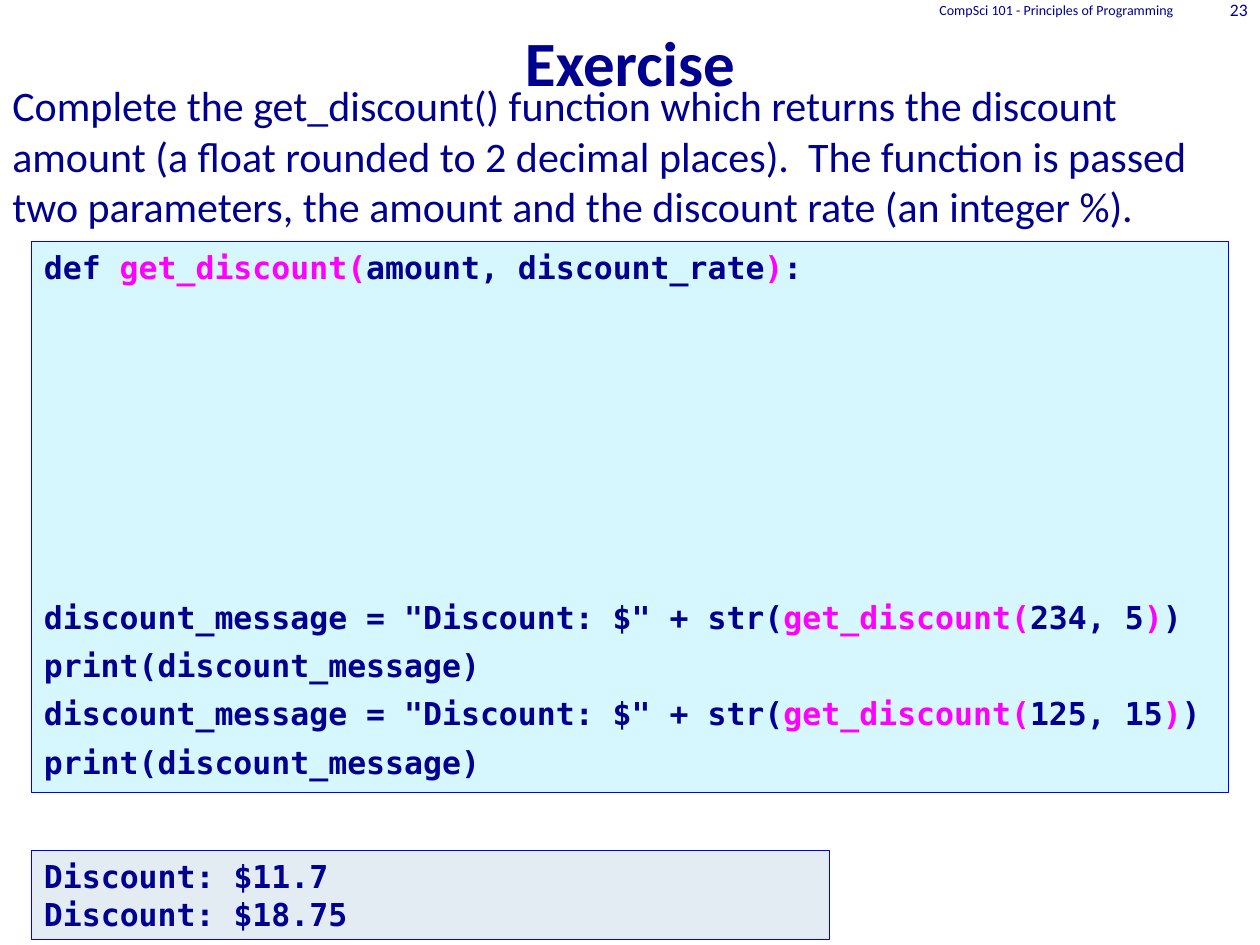
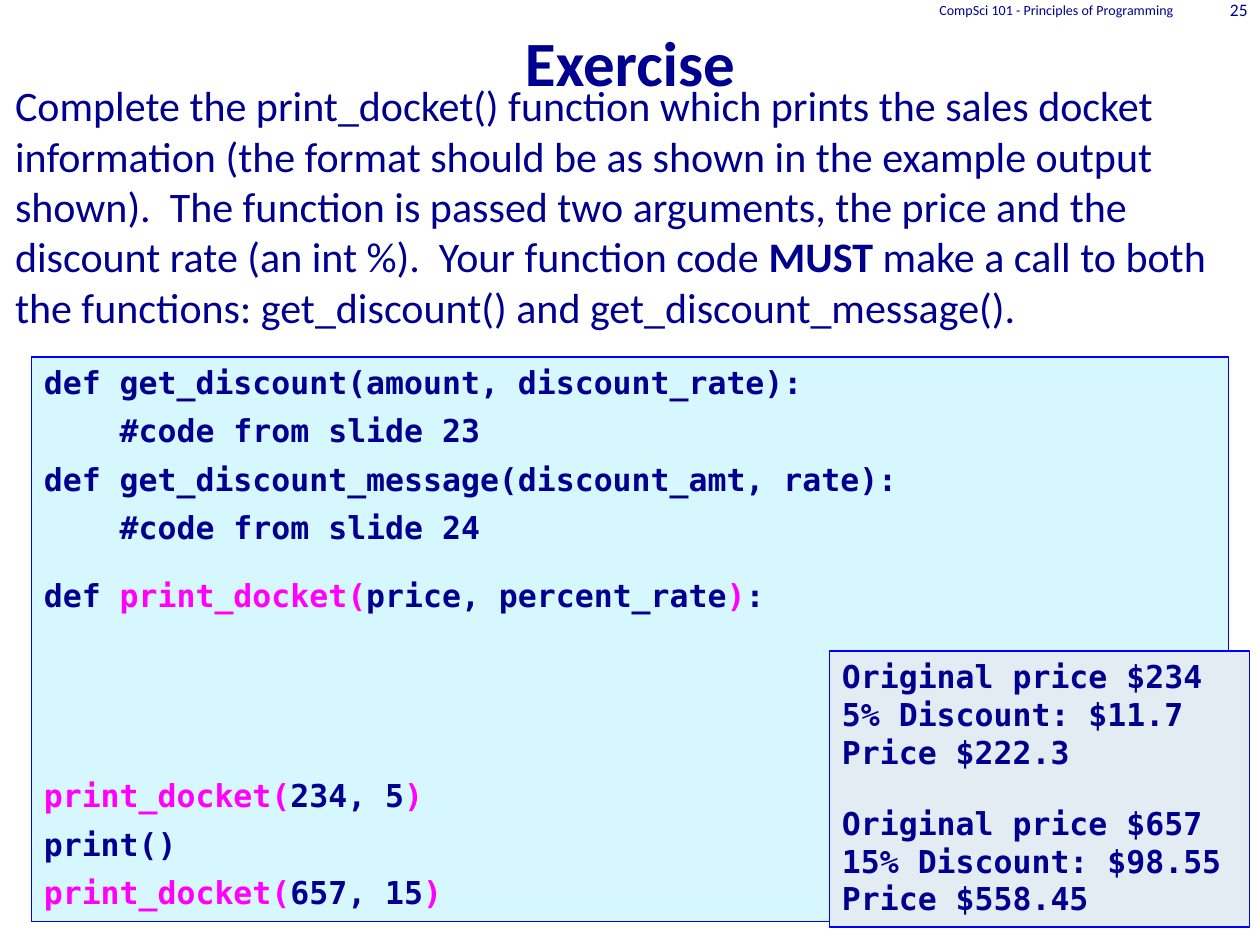
"""Build two programming exercise slides with code and expected output."""
from dataclasses import dataclass
from typing import NamedTuple

from pptx import Presentation, util as u
from pptx.dml.color import RGBColor
from pptx.enum import shapes, text

COLORS = {"navy": "000090", "pink": "FF00FF", "code": "D7F7FF",
          "output": "E3EBF3", "border": "0000FF", "page": "FFFFFF"}
SANS, MONO = "Calibri", "DejaVu Sans Mono"
WIDTH, HEIGHT = u.Inches(10), u.Inches(7.5)
COLUMNS, ROWS = 120, 90
CODE_GAP, CODE_INDENT = 6, 43.35


class Area(NamedTuple):
    col: float
    row: float
    cols: float
    rows: float


class Run(NamedTuple):
    text: str
    color: str = "navy"
    bold: bool = False


@dataclass
class Line:
    runs: list[Run]
    before: float = 0
    indent: float = 0


@dataclass
class Style:
    size: float
    font: str = SANS
    bold: bool = False
    align: text.PP_ALIGN = text.PP_ALIGN.LEFT
    anchor: text.MSO_ANCHOR = text.MSO_ANCHOR.TOP


@dataclass
class Panel:
    area: Area
    fill: str
    lines: list[Line]


@dataclass
class Exercise:
    number: int
    task_area: Area
    task: list[Run]
    panels: list[Panel]


TITLE = Style(36, bold=True, align=text.PP_ALIGN.CENTER, anchor=text.MSO_ANCHOR.BOTTOM)
TASK = Style(24)
MONOSPACE = Style(18, MONO, bold=True)
COURSE = Style(8, align=text.PP_ALIGN.RIGHT, anchor=text.MSO_ANCHOR.MIDDLE)
NUMBER = Style(10, align=text.PP_ALIGN.RIGHT, anchor=text.MSO_ANCHOR.MIDDLE)


def rgb(name: str) -> RGBColor:
    """Look up a palette colour."""
    return RGBColor.from_string(COLORS[name])


def place(area: Area) -> tuple[int, int, int, int]:
    """Convert grid units to slide lengths."""
    x, y = WIDTH / COLUMNS, HEIGHT / ROWS
    return (round(area.col * x), round(area.row * y),
            round(area.cols * x), round(area.rows * y))


def call(name: str, args: str) -> list[Run]:
    """Highlight a function name and its brackets."""
    return [Run(f"{name}(", "pink"), Run(args), Run(")", "pink")]


def code(*runs: Run | str, before: float = CODE_GAP, indent: float = 0) -> Line:
    """Make one line of code."""
    return Line([r if isinstance(r, Run) else Run(r) for r in runs], before, indent)


def discount_lines(args: str, before: float = CODE_GAP) -> list[Line]:
    """Make the pair of lines that builds and prints a message."""
    return [code('discount_message = "Discount: $" + str(',
                 *call("get_discount", args), ")", before=before),
            code("print(discount_message)")]


def docket_lines(price: str, discount: str, total: str, before: float = 0) -> list[Line]:
    """Make the printed lines of one sales docket."""
    return [code(f"Original price {price}", before=before),
            code(f"{discount}", before=0), code(f"Price {total}", before=0)]


def write(sp, lines: list[Line], style: Style) -> None:
    """Write styled lines into a shape."""
    tf = sp.text_frame
    tf.word_wrap = True
    tf.vertical_anchor = style.anchor
    for i, line in enumerate(lines):
        p = tf.add_paragraph() if i else tf.paragraphs[0]
        p.alignment = style.align
        p.space_before = u.Pt(line.before)
        if line.indent:
            p._p.get_or_add_pPr().set("marL", str(u.Pt(line.indent)))
        for run in line.runs:
            r = p.add_run()
            r.text = run.text
            r.font.name, r.font.size = style.font, u.Pt(style.size)
            r.font.bold = style.bold or run.bold
            r.font.color.rgb = rgb(run.color)


def add_text(s, area: Area, runs: list[Run], style: Style) -> None:
    """Add a text box."""
    write(s.shapes.add_textbox(*place(area)), [Line(runs)], style)


def add_panel(s, panel: Panel) -> None:
    """Add a bordered panel of monospaced text."""
    sp = s.shapes.add_shape(shapes.MSO_SHAPE.RECTANGLE, *place(panel.area))
    sp.shadow.inherit = False
    sp.fill.solid()
    sp.fill.fore_color.rgb = rgb(panel.fill)
    sp.line.color.rgb = rgb("border")
    sp.line.width = u.Pt(0.75)
    write(sp, panel.lines, MONOSPACE)


def add_exercise(prs, exercise: Exercise) -> None:
    """Add an exercise slide."""
    s = prs.slides.add_slide(prs.slide_layouts[6])
    s.background.fill.solid()
    s.background.fill.fore_color.rgb = rgb("page")
    add_text(s, Area(0, 0, COLUMNS, 10), [Run("Exercise")], TITLE)
    add_text(s, exercise.task_area, exercise.task, TASK)
    for panel in exercise.panels:
        add_panel(s, panel)
    add_text(s, Area(77, -0.1, 36, 2), [Run("CompSci 101 - Principles of Programming")], COURSE)
    add_text(s, Area(113, -0.1, 7, 2), [Run(str(exercise.number))], NUMBER)


EXERCISES = [
    Exercise(
        23, Area(0, 7, 121, 71),
        [Run("Complete the get_discount() function which returns the discount amount "
             "(a float rounded to 2 decimal places).  The function is passed two "
             "parameters, the amount and the discount rate (an integer %).")],
        [Panel(Area(3, 23, 114, 52.5), "code", [
            code("def ", *call("get_discount", "amount, discount_rate"), ":"),
            *discount_lines("234, 5", before=178.4),
            *discount_lines("125, 15")]),
         Panel(Area(3, 81, 76, 8.5), "output", [
             code("Discount: $11.7", before=0),
             code("Discount: $18.75", before=0)])]),
    Exercise(
        25, Area(0.25, 7, 119.75, 71),
        [Run("Complete the print_docket() function which prints the sales docket "
             "information (the format should be as shown in the example output shown).  "
             "The function is passed two arguments, the price and the discount rate "
             "(an int %).  Your function code "),
         Run("MUST", bold=True),
         Run(" make a call to both the functions: get_discount() and "
             "get_discount_message().")],
        [Panel(Area(3, 34, 114, 53.8), "code", [
            code("def get_discount(amount, discount_rate):"),
            code("#code from slide 23", indent=CODE_INDENT),
            code("def get_discount_message(discount_amt, rate):"),
            code("#code from slide 24", indent=CODE_INDENT),
            code("def ", *call("print_docket", "price, percent_rate"), ":", before=17.3),
            code(*call("print_docket", "234, 5"), before=92.7),
            code("print()"),
            code(*call("print_docket", "657, 15"))]),
         Panel(Area(79, 62, 40, 26.3), "output", [
             *docket_lines("$234", "5% Discount: $11.7", "$222.3"),
             *docket_lines("$657", "15% Discount: $98.55", "$558.45", before=19)])]),
]


def main() -> None:
    """Build and save the slides."""
    prs = Presentation()
    prs.slide_width, prs.slide_height = WIDTH, HEIGHT
    for exercise in EXERCISES:
        add_exercise(prs, exercise)
    prs.save("out.pptx")


if __name__ == "__main__":
    main()
